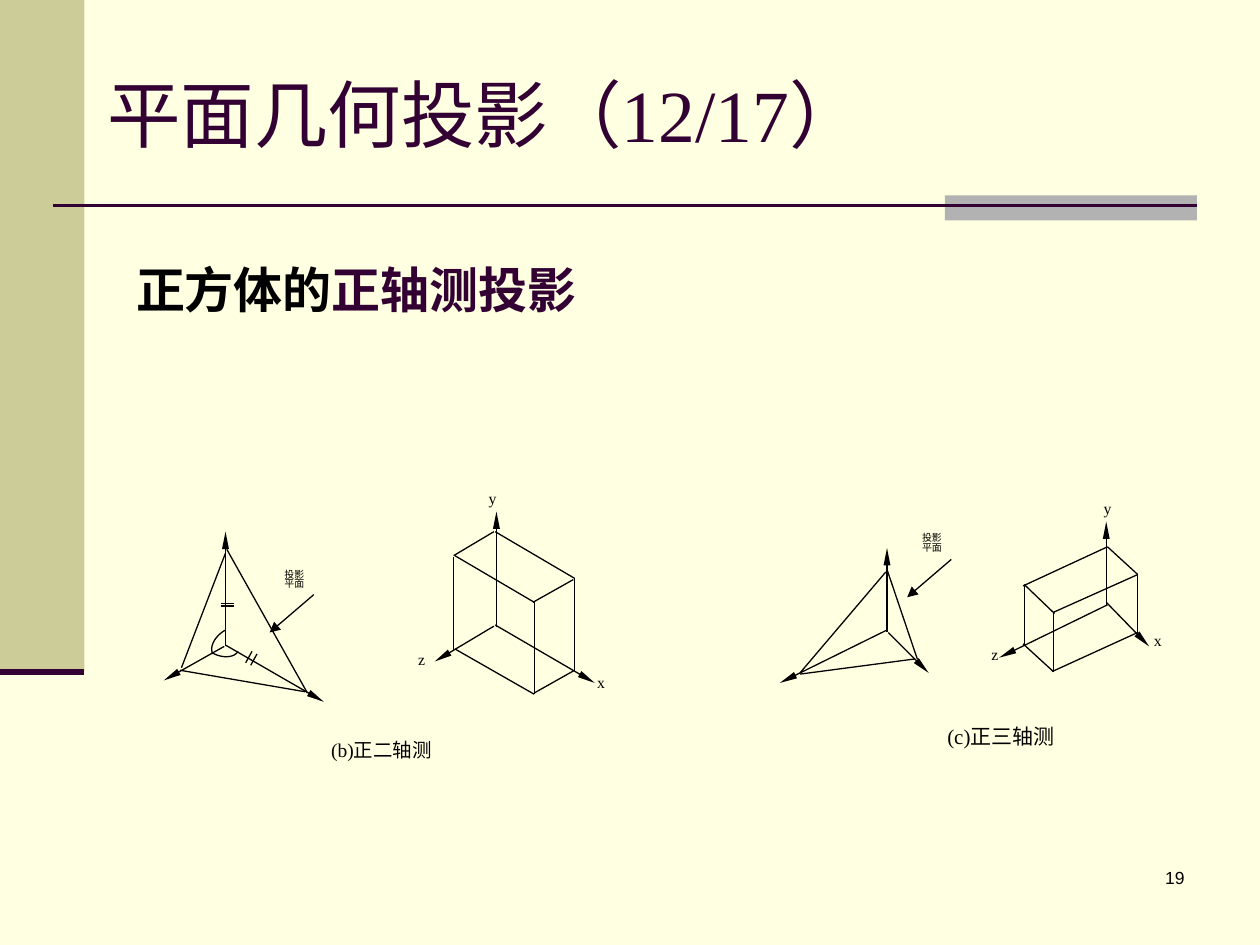
from lxml import etree
from pptx import Presentation
from pptx.dml.color import RGBColor
from pptx.enum.shapes import MSO_CONNECTOR, MSO_SHAPE
from pptx.enum.text import MSO_ANCHOR, MSO_AUTO_SIZE, PP_ALIGN
from pptx.oxml.ns import qn
from pptx.util import Inches, Pt

STRAIGHT = MSO_CONNECTOR.STRAIGHT
RECTANGLE = MSO_SHAPE.RECTANGLE
LEFT, RIGHT, JUSTIFY = PP_ALIGN.LEFT, PP_ALIGN.RIGHT, PP_ALIGN.JUSTIFY
TOP, MIDDLE = MSO_ANCHOR.TOP, MSO_ANCHOR.MIDDLE
CREAM = RGBColor(0xFF, 0xFF, 0xE1)
OLIVE = RGBColor(0xCC, 0xCC, 0x99)
GREY = RGBColor(0xB2, 0xB2, 0xB2)
PLUM = RGBColor(0x33, 0x00, 0x33)
BLACK = RGBColor(0, 0, 0)
SERIF, SANS = "Times New Roman", "Arial"
THIN = 0.74
AXIS_HEAD = ("sm", "lg")
POINTER_HEAD = ("med", "med")

TITLE = [("平面几何投影（12/17）", PLUM)]
SUBTITLE = [("正方体的", BLACK), ("正轴测投影", PLUM)]
PANELS = [(OLIVE, (0, 0, 0.67, 5.33)), (GREY, (7.5, 1.55, 2, 0.2))]
RULES = [((0.42, 1.63, 9.5, 1.63), 1.5), ((0, 5.33, 0.67, 5.33), 3.49)]
PLANE_LABEL = ["投影", "平面"]

# Lines are (x1, y1, x2, y2); labels are (lines, box, size, line spacing).
TRIMETRIC = {
    "edges": [
        (8.79, 4.34, 8.12, 4.65), (8.13, 5.12, 8.13, 4.65),
        (8.12, 5.11, 8.36, 5.33), (9.03, 4.56, 8.36, 4.86),
        (9.03, 5.02, 8.35, 5.33), (8.36, 5.33, 8.36, 4.86),
        (9.03, 5.04, 9.03, 4.56), (8.79, 4.34, 9.03, 4.56),
        (8.13, 4.64, 8.37, 4.87),
        (7.04, 4.52, 7.28, 5.23), (6.35, 5.35, 7.26, 5.23),
        (7.03, 4.54, 6.35, 5.34),
    ],
    "axes": [
        (8.78, 4.8, 8.78, 4.14), (8.78, 4.78, 9.12, 5.13),
        (8.79, 4.8, 7.93, 5.22),
        (7.04, 5.02, 7.04, 4.35), (7.05, 5.02, 7.37, 5.34),
        (7.04, 5, 6.19, 5.42),
    ],
    "pointer": (7.55, 4.44, 7.2, 4.74),
    "labels": [
        (["(c)正三轴测"], (7.42, 5.69, 1.16, 0.3), 12, 1),
        (["y"], (8.66, 3.91, 0.35, 0.3), 9, 1),
        (["z"], (7.77, 5.07, 0.35, 0.3), 9, 1),
        (["x"], (9.06, 4.96, 0.35, 0.3), 9, 1),
        (PLANE_LABEL, (7.22, 4.19, 0.7, 0.3), 5.7, 0.8),
    ],
    "arcs": [],
}
DIMETRIC = {
    "edges": [
        (1.75, 4.81, 1.86, 4.81), (2.04, 5.19, 1.99, 5.28),
        (1.75, 4.79, 1.86, 4.79), (2, 5.17, 1.95, 5.26),
        (3.6, 5.16, 3.6, 4.42), (3.92, 4.22, 3.6, 4.41),
        (4.24, 5.51, 4.24, 4.77), (4.56, 5.32, 4.56, 4.59),
        (4.56, 5.32, 4.24, 5.5), (4.55, 4.6, 4.23, 4.78),
        (4.56, 4.59, 3.93, 4.22), (4.24, 4.78, 3.61, 4.41),
        (4.24, 5.51, 3.61, 5.15),
        (1.8, 4.36, 2.44, 5.5), (1.79, 4.39, 1.44, 5.3),
        (1.43, 5.32, 2.42, 5.49),
    ],
    "axes": [
        (3.93, 4.96, 4.72, 5.42), (3.92, 4.97, 3.45, 5.25),
        (3.94, 4.98, 3.94, 4.06),
        (1.79, 5.12, 2.57, 5.57), (1.78, 5.13, 1.3, 5.4),
        (1.79, 5.13, 1.79, 4.22),
    ],
    "pointer": (2.49, 4.72, 2.14, 5.02),
    "labels": [
        (["(b)正二轴测"], (2.53, 5.83, 1.07, 0.3), 11.1, 0.9),
        (["y"], (3.78, 3.83, 0.35, 0.3), 9, 1),
        (["z"], (3.22, 5.11, 0.35, 0.3), 9, 1),
        (["x"], (4.64, 5.29, 0.35, 0.3), 9, 1),
        (PLANE_LABEL, (2.16, 4.48, 0.7, 0.3), 5.7, 0.8),
    ],
    "arcs": [
        [(1.89, 5.17), (1.86, 5.22), (1.77, 5.23), (1.68, 5.18)],
        [(1.69, 5.19), (1.66, 5.14), (1.7, 5.05), (1.79, 5)],
    ],
}


def inches(values):
    """Turn a sequence of numbers into lengths."""
    return [Inches(value) for value in values]


def add_line(shapes, ends, color=BLACK, width=THIN, head=None):
    """Add a straight line, with an arrowhead of (width, length) at its end."""
    line = shapes.add_connector(STRAIGHT, *inches(ends))
    line.line.color.rgb = color
    line.line.width = Pt(width)
    if head:
        etree.SubElement(line.line._get_or_add_ln(), qn("a:tailEnd"),
                         type="triangle", w=head[0], len=head[1])
    etree.SubElement(line._element.spPr, qn("a:effectLst"))


def add_arc(shapes, controls):
    """Draw a cubic curve through short steps as an open outline."""
    steps = 12
    points = []
    for step in range(steps + 1):
        t = step / steps
        weights = ((1 - t) ** 3, 3 * t * (1 - t) ** 2, 3 * t * t * (1 - t), t ** 3)
        points.append(tuple(
            Inches(sum(weight * value for weight, value in zip(weights, axis)))
            for axis in zip(*controls)))
    builder = shapes.build_freeform(*points[0])
    builder.add_line_segments(points[1:], close=False)
    arc = builder.convert_to_shape()
    arc.shadow.inherit = False
    arc.fill.background()
    arc.line.color.rgb = BLACK
    arc.line.width = Pt(THIN)


def write_text(shape, lines, size, align=JUSTIFY, spacing=1, anchor=TOP,
               font=SERIF, bold=False):
    """Fill a shape with lines, each a list of (text, colour) runs."""
    frame = shape.text_frame
    frame.word_wrap = True
    frame.auto_size = MSO_AUTO_SIZE.NONE
    frame.vertical_anchor = anchor
    for index, runs in enumerate(lines):
        paragraph = frame.add_paragraph() if index else frame.paragraphs[0]
        paragraph.alignment = align
        paragraph.line_spacing = spacing
        paragraph.space_before = Pt(0)
        for text, color in runs:
            run = paragraph.add_run()
            run.text = text
            run.font.size = Pt(size)
            run.font.name = font
            run.font.bold = bold
            run.font.color.rgb = color


def place(shape, box):
    """Move and size a placeholder."""
    shape.left, shape.top, shape.width, shape.height = inches(box)


def add_figure(slide, figure):
    """Draw one projection figure as a group."""
    shapes = slide.shapes.add_group_shape().shapes
    for edge in figure["edges"]:
        add_line(shapes, edge)
    for axis in figure["axes"]:
        add_line(shapes, axis, head=AXIS_HEAD)
    add_line(shapes, figure["pointer"], head=POINTER_HEAD)
    for controls in figure["arcs"]:
        add_arc(shapes, controls)
    for lines, box, size, spacing in figure["labels"]:
        label = shapes.add_textbox(*inches(box))
        write_text(label, [[(text, BLACK)] for text in lines], size, spacing=spacing)


presentation = Presentation()
presentation.slide_width, presentation.slide_height = inches((10, 7.5))
slide = presentation.slides.add_slide(presentation.slide_layouts[1])
slide.background.fill.solid()
slide.background.fill.fore_color.rgb = CREAM

for color, box in PANELS:
    panel = slide.shapes.add_shape(RECTANGLE, *inches(box))
    panel.shadow.inherit = False
    panel.fill.solid()
    panel.fill.fore_color.rgb = color
    panel.line.fill.background()
for ends, width in RULES:
    add_line(slide.shapes, ends, PLUM, width)

title, subtitle = slide.placeholders
place(title, (0.75, 0.48, 8.5, 0.83))
write_text(title, [TITLE], 42, LEFT, anchor=MIDDLE)
place(subtitle, (0.98, 1.86, 4.02, 0.87))
write_text(subtitle, [SUBTITLE], 28, LEFT, anchor=MIDDLE, bold=True)
properties = subtitle.text_frame.paragraphs[0]._p.get_or_add_pPr()
properties.set("marL", "0")
properties.set("indent", "0")
etree.SubElement(properties, qn("a:buNone"))

for figure in (TRIMETRIC, DIMETRIC):
    add_figure(slide, figure)
page_number = slide.shapes.add_textbox(*inches((7.42, 6.83, 2.08, 0.5)))
write_text(page_number, [[("19", BLACK)]], 10, RIGHT, font=SANS)

presentation.save("out.pptx")
